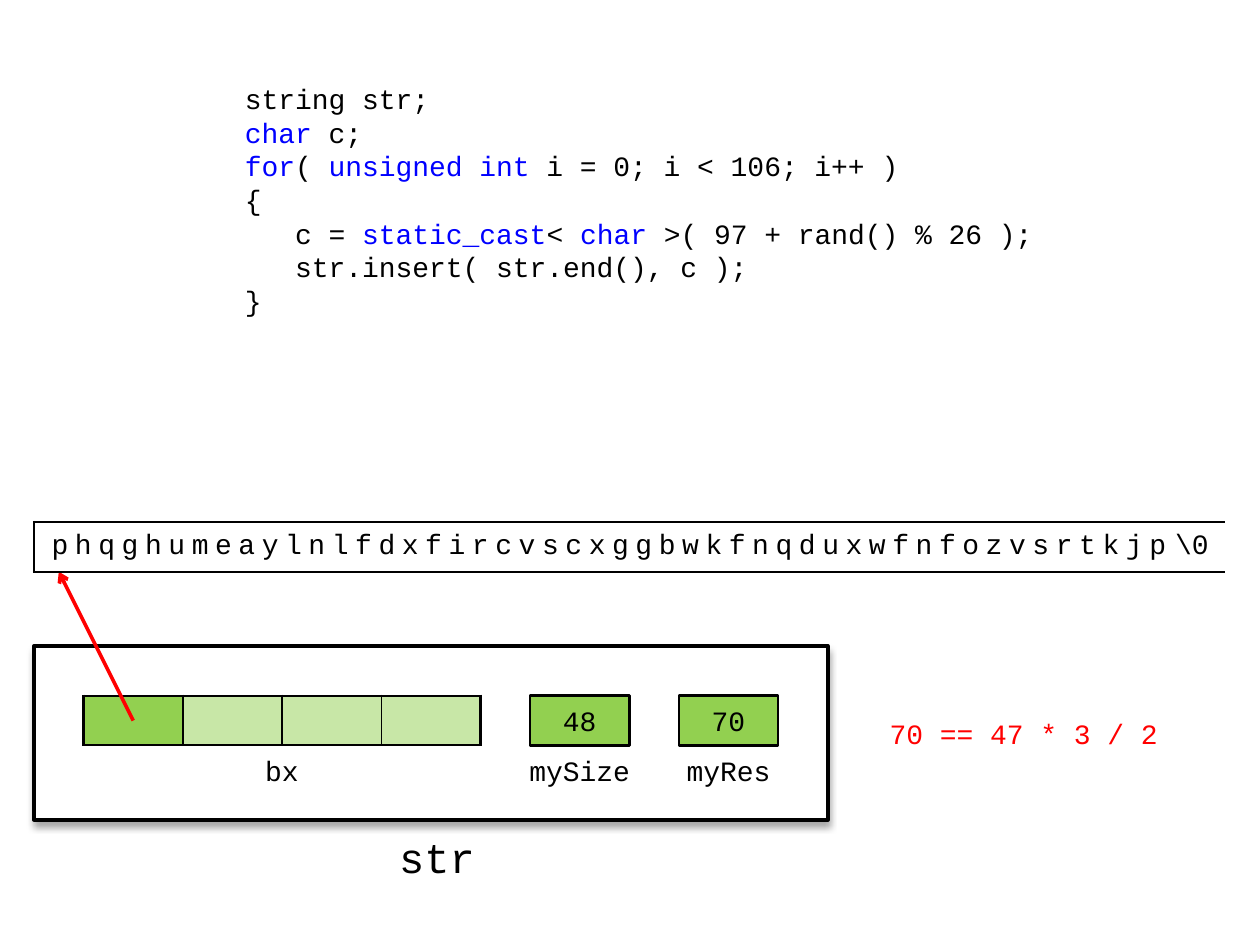
from lxml.etree import SubElement as Sub
from pptx import Presentation
from pptx.dml.color import RGBColor as Rgb
from pptx.enum.shapes import MSO_CONNECTOR as Link, MSO_SHAPE as Shape
from pptx.enum.text import MSO_ANCHOR as Anchor, PP_ALIGN as Align
from pptx.oxml.ns import qn
from pptx.util import Cm, Inches, Pt

UNIT = Cm(0.5)                       # one grid step
LEFT, TOP = Inches(0.27), Inches(0.01)
FONT = "Courier New"
BLACK, WHITE, RED, BLUE, GREEN = "000000", "FFFFFF", "FF0000", "0000FF", "92D050"

# Keywords stand between bars
CODE = [
    (0, "string str;"),
    (0, "|char| c;"),
    (0, "|for|( |unsigned int| i = 0; i < 106; i++ )"),
    (0, "{"),
    (3, "c = |static_cast|< |char| >( 97 + rand() % 26 );"),
    (3, "str.insert( str.end(), c );"),
    (0, "}"),
]
# Text and letter spacing in points
CHARS = [("phqghumeaylnlfdxfircvscxggbwkfnqduxwfnfozvsrtkjp", 3.8), ("\\", -1.5), ("0", 0)]


def paint(target, color):
    """Colour a fill or a font colour from a hex string."""
    if hasattr(target, "solid"):
        target.solid()
        target = target.fore_color
    target.rgb = Rgb.from_string(color)


def spot(col, row):
    return LEFT + round(col * UNIT), TOP + round(row * UNIT)


def area(col, row, wide, high):
    return (*spot(col, row), wide * UNIT, high * UNIT)


def style(run, color=BLACK, size=16):
    run.font.name, run.font.size = FONT, Pt(size)
    paint(run.font.color, color)


def pad(frame, left=0.1, top=0.05, right=0, bottom=0.05):
    frame.margin_left, frame.margin_right = Inches(left), Inches(right)
    frame.margin_top, frame.margin_bottom = Inches(top), Inches(bottom)


def write(frame, text, color=BLACK, size=16, align=Align.CENTER):
    frame.text = text
    frame.word_wrap = True
    frame.vertical_anchor = Anchor.MIDDLE
    par = frame.paragraphs[0]
    par.alignment = align
    style(par.runs[0], color, size)


def box(slide, kind, place, fill=None, line=0, text=""):
    shape = slide.shapes.add_shape(kind, *area(*place))
    shape.shadow.inherit = False
    if fill:
        paint(shape.fill, fill)
    else:
        shape.fill.background()
    if line:
        paint(shape.line.fill, BLACK)
        shape.line.width = Pt(line)
    else:
        shape.line.fill.background()
    if text:
        write(shape.text_frame, text)
        pad(shape.text_frame, 0, right=0)
    return shape


def shade(shape):
    """Soft shadow straight below the shape."""
    list_ = shape._element.spPr.find(qn("a:effectLst"))
    drop = Sub(list_, qn("a:outerShdw"), blurRad=str(Pt(4)), dist=str(Pt(3)),
               dir="5400000", rotWithShape="0")
    color = Sub(drop, qn("a:srgbClr"), val=BLACK)
    Sub(color, qn("a:alpha"), val="35000")


def label(slide, place, text, **look):
    frame = slide.shapes.add_textbox(*area(*place)).text_frame
    write(frame, text, **look)
    pad(frame)
    return frame


def edge(cell, **widths):
    """Cell borders by side L, R, T, B; a width of 0 hides one."""
    props = cell._tc.get_or_add_tcPr()
    for at, (side, width) in enumerate(widths.items()):
        line = Sub(props, qn("a:ln" + side), w=str(Pt(width)))
        if width:
            Sub(Sub(line, qn("a:solidFill")), qn("a:srgbClr"), val=BLACK)
        else:
            Sub(line, qn("a:noFill"))
        props.insert(at, line)


def strip(slide, place, count):
    """One-row table; returns its cells."""
    table = slide.shapes.add_table(1, count, *area(*place)).table
    table.first_row = table.horz_banding = False
    cells = list(table.rows[0].cells)
    for cell in cells:
        pad(cell, 0, 0, 0, 0)
        cell.vertical_anchor = Anchor.MIDDLE
    return cells


def code(slide, place):
    frame = slide.shapes.add_textbox(*area(*place)).text_frame
    frame.word_wrap = True
    pad(frame)
    for at, (depth, text) in enumerate(CODE):
        par = frame.add_paragraph() if at else frame.paragraphs[0]
        par.line_spacing = Pt(19.2)
        par._p.get_or_add_pPr().set("marL", str(Pt(9.6 * depth)))
        for odd, part in enumerate(text.split("|")):
            if part:
                run = par.add_run()
                run.text = part
                style(run, BLUE if odd % 2 else BLACK)


def slots(slide, place):
    cells = strip(slide, place, 4)
    for at, cell in enumerate(cells):
        paint(cell.fill, GREEN)
        if at:
            color = cell._tc.tcPr.find(".//" + qn("a:srgbClr"))
            Sub(color, qn("a:alpha"), val="50000")
        edge(cell, L=1 if at else 1.5, R=1 if at < 3 else 1.5, T=1.5, B=1.5)


def chars(slide, place):
    cell, = strip(slide, place, 1)
    cell.fill.background()
    cell.margin_left = Inches(0.14)
    edge(cell, L=1.5, R=0, T=1.5, B=1.5)
    par = cell.text_frame.paragraphs[0]
    for text, gap in CHARS:
        run = par.add_run()
        run.text = text
        style(run)
        run.font._element.set("spc", str(round(gap * 100)))


def arrow(slide, start, end):
    line = slide.shapes.add_connector(Link.STRAIGHT, *spot(*start), *spot(*end))
    paint(line.line.fill, RED)
    line.line.width = Pt(2)
    Sub(line.line._get_or_add_ln(), qn("a:tailEnd"), type="arrow")
    Sub(line._element.spPr, qn("a:effectLst"))


def main():
    deck = Presentation()
    deck.slide_width, deck.slide_height = Inches(10), Inches(7.5)
    slide = deck.slides.add_slide(deck.slide_layouts[6])

    # Source code
    code(slide, (8, 3, 33, 10))

    # String object and its members
    label(slide, (13, 33, 6, 3), "str", size=24)
    shade(box(slide, Shape.FLOWCHART_PROCESS, (0, 26, 32, 7), WHITE, 2.25))
    for col, wide, name in (8, 4, "bx"), (19, 6, "mySize"), (25, 6, "myRes"):
        box(slide, Shape.FLOWCHART_PROCESS, (col, 30, wide, 2), text=name)
    for col, value in (20, "48"), (26, "70"):
        box(slide, Shape.RECTANGLE, (col, 28, 4, 2), GREEN, 1.5, value)
    slots(slide, (2, 28, 16, 2))

    # Pointer to the characters
    arrow(slide, (4, 29), (1, 23))
    chars(slide, (0, 21, 48, 2))

    # Capacity rule
    label(slide, (34, 28, 12, 3), "70 == 47 * 3 / 2", color=RED, align=Align.LEFT)

    deck.save("out.pptx")


if __name__ == "__main__":
    main()
